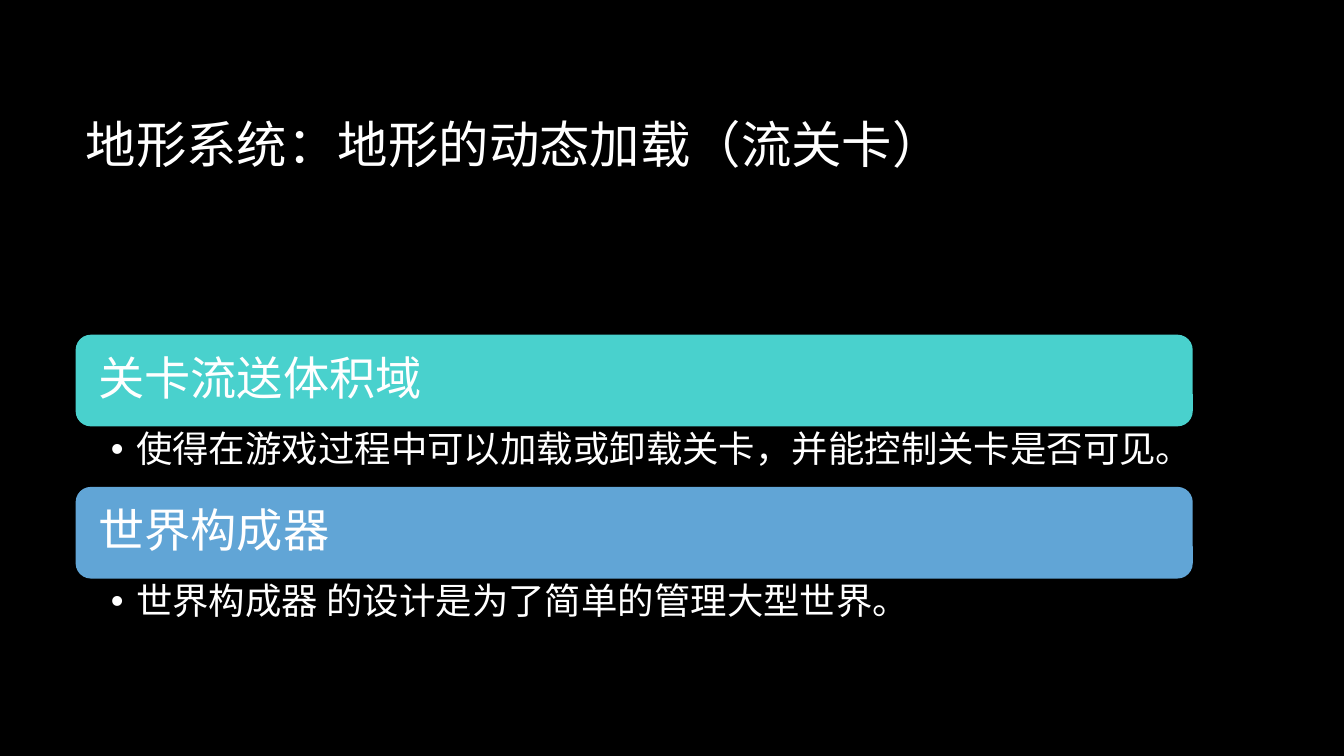
from lxml.etree import SubElement
from pptx import Presentation
from pptx.dml.color import RGBColor
from pptx.enum.shapes import MSO_SHAPE
from pptx.enum.text import MSO_ANCHOR, MSO_AUTO_SIZE, PP_ALIGN
from pptx.oxml.ns import qn
from pptx.util import Inches, Pt

WIDTH, HEIGHT = 13.33, 7.5
LEFT, CONTENT_WIDTH = 0.75, 11.08
BAR_HEIGHT, DETAIL_HEIGHT = 0.91, 0.6
LIST_TOP = 3.32
WHITE = "FFFFFF"
SECTIONS = [
    ("关卡流送体积域", "使得在游戏过程中可以加载或卸载关卡，并能控制关卡是否可见。", "49D1CD"),
    ("世界构成器", "世界构成器 的设计是为了简单的管理大型世界。", "61A5D6"),
]


def paint(fill, color):
    """Make a fill solid in a hex colour."""
    fill.solid()
    fill.fore_color.rgb = RGBColor.from_string(color)


def write(shape, text, size, insets=(0.1, 0.05, 0.1, 0.05), anchor=MSO_ANCHOR.MIDDLE,
          spacing=0.9, color=WHITE, font="Calibri"):
    """Write one left-aligned paragraph and return it."""
    frame = shape.text_frame
    frame.word_wrap = True
    frame.auto_size = MSO_AUTO_SIZE.NONE
    frame.vertical_anchor = anchor
    frame.margin_left, frame.margin_top, frame.margin_right, frame.margin_bottom = map(Inches, insets)
    para = frame.paragraphs[0]
    para.alignment = PP_ALIGN.LEFT
    para.line_spacing = spacing
    span = para.add_run()
    span.text = text
    span.font.name = font
    span.font.size = Pt(size)
    span.font.color.rgb = RGBColor.from_string(color)
    return para


def add_bullet(para, indent):
    """Give a paragraph a round bullet with a hanging indent."""
    properties = para._p.get_or_add_pPr()
    properties.set("marL", str(Inches(indent)))
    properties.set("indent", str(-Inches(indent)))
    SubElement(properties, qn("a:buFont"), typeface="Arial")
    SubElement(properties, qn("a:buChar"), char="•")


def add_title(page, text, left, top, width, height):
    """Place and fill the title placeholder."""
    title = page.shapes.title
    title.left, title.top, title.width, title.height = map(Inches, (left, top, width, height))
    write(title, text, 36)


def add_section(page, heading, detail, color, left, top, width):
    """Draw a coloured heading bar with its bulleted detail below."""
    bar = page.shapes.add_shape(MSO_SHAPE.ROUNDED_RECTANGLE, Inches(left), Inches(top),
                                Inches(width), Inches(BAR_HEIGHT))
    bar.shadow.inherit = False
    paint(bar.fill, color)
    bar.line.fill.background()
    write(bar, heading, 33, insets=(0.18, 0.14, 0.18, 0.14))
    box = page.shapes.add_textbox(Inches(left), Inches(top + BAR_HEIGHT),
                                  Inches(width), Inches(DETAIL_HEIGHT))
    para = write(box, detail, 26, insets=(0.35, 0.05, 0.26, 0.05), anchor=MSO_ANCHOR.TOP)
    para.level = 1
    add_bullet(para, 0.25)


def main():
    """Build and save the slide."""
    deck = Presentation()
    deck.slide_width, deck.slide_height = Inches(WIDTH), Inches(HEIGHT)
    page = deck.slides.add_slide(deck.slide_layouts.get_by_name("Title Only"))
    paint(page.background.fill, "000000")
    add_title(page, "地形系统：地形的动态加载（流关卡）", LEFT, 0.67, CONTENT_WIDTH, 1.59)
    for row, (heading, detail, color) in enumerate(SECTIONS):
        top = LIST_TOP + row * (BAR_HEIGHT + DETAIL_HEIGHT)
        add_section(page, heading, detail, color, LEFT, top, CONTENT_WIDTH)
    deck.save("out.pptx")


if __name__ == "__main__":
    main()
